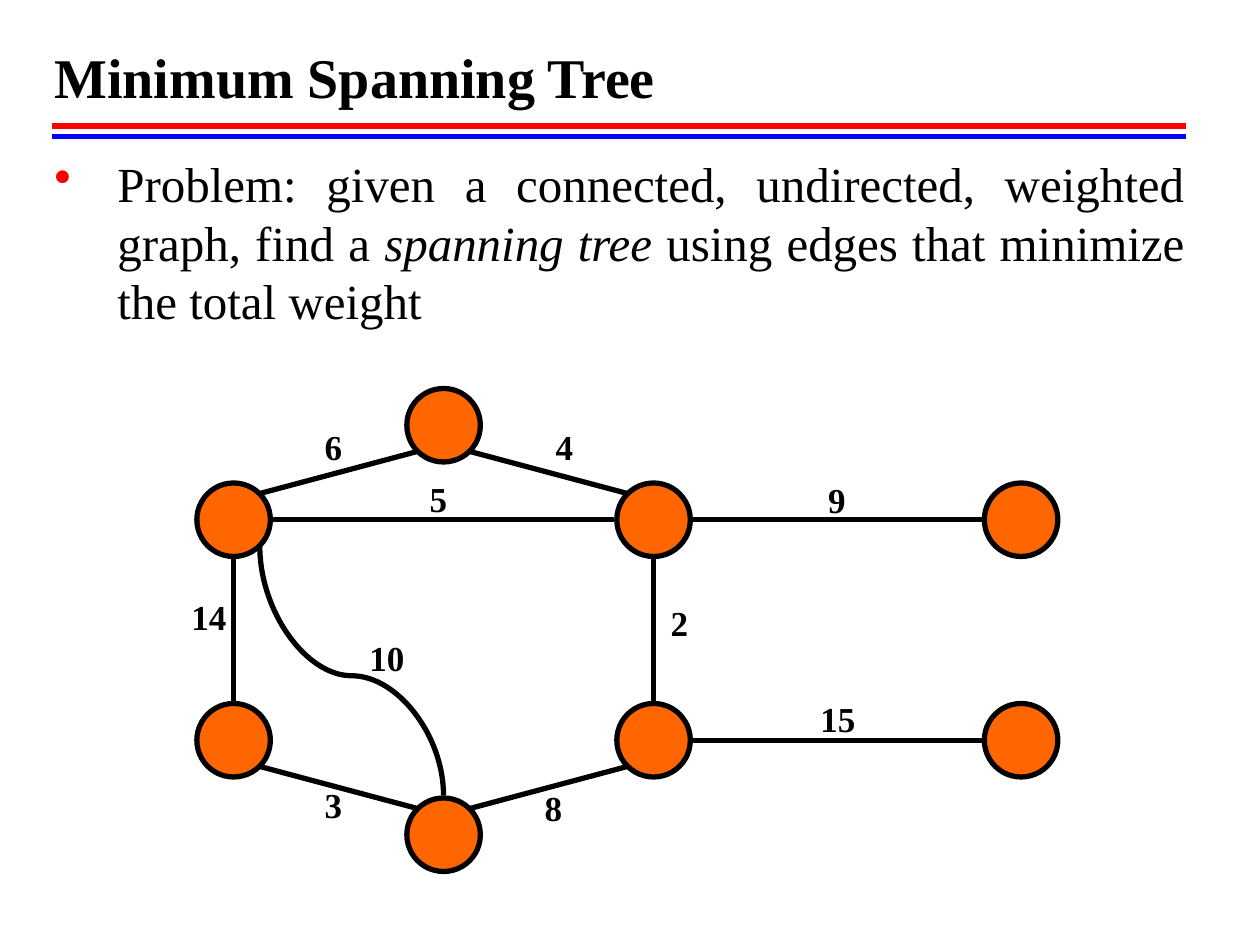
from lxml import etree
from pptx import Presentation
from pptx.dml.color import RGBColor
from pptx.enum.shapes import MSO_CONNECTOR, MSO_SHAPE
from pptx.enum.text import MSO_ANCHOR, PP_ALIGN
from pptx.oxml.ns import qn
from pptx.util import Inches, Pt

STRAIGHT, CURVE = MSO_CONNECTOR.STRAIGHT, MSO_CONNECTOR.CURVE
OVAL = MSO_SHAPE.OVAL
TOP, BOTTOM = MSO_ANCHOR.TOP, MSO_ANCHOR.BOTTOM
LEFT, CENTER, JUSTIFY = PP_ALIGN.LEFT, PP_ALIGN.CENTER, PP_ALIGN.JUSTIFY
BLACK = RGBColor(0x00, 0x00, 0x00)
RED = RGBColor(0xFF, 0x00, 0x00)
BLUE = RGBColor(0x00, 0x00, 0xFF)
ORANGE = RGBColor(0xFF, 0x66, 0x00)

COLUMNS, ROWS = 120, 90
NODE_SIZE = 7
REACH = 3.75
DIAGONAL = 2.5

NODES = {
    "upper left": (22.25, 49.5),
    "upper middle": (62.25, 49.5),
    "upper right": (97.25, 49.5),
    "lower left": (22.25, 70.5),
    "lower middle": (62.25, 70.5),
    "lower right": (97.25, 70.5),
    "bottom": (42.25, 79.5),
    "top": (42.25, 40.5),
}
EDGES = [
    ("top", "upper middle", "4", (53.75, 42.5)),
    ("top", "upper left", "6", (31.75, 42.5)),
    ("upper left", "upper middle", "5", (41.75, 47.5)),
    ("lower left", "upper left", "14", (19.9, 58.75)),
    ("lower left", "bottom", "3", (31.75, 76.6)),
    ("bottom", "lower middle", "8", (52.7, 76.9)),
    ("lower middle", "upper middle", "2", (64.7, 59.3)),
    ("upper middle", "upper right", "9", (79.7, 47.6)),
    ("lower middle", "lower right", "15", (79.8, 68.4)),
]


def sign(value):
    return (value > 0) - (value < 0)


def rim(node, toward):
    (x, y), (other_x, other_y) = NODES[node], NODES[toward]
    across, down = sign(other_x - x), sign(other_y - y)
    distance = DIAGONAL if across and down else REACH
    return x + across * distance, y + down * distance


def write(paragraph, text, size=20, bold=False, italic=False, color=BLACK):
    run = paragraph.add_run()
    run.text = text
    font = run.font
    font.name, font.size = "Times New Roman", Pt(size)
    font.bold, font.italic = bold, italic
    font.color.rgb = color


class Canvas:
    def __init__(self, presentation, line_width=3):
        self.slide = presentation.slides.add_slide(presentation.slide_layouts[6])
        self.column = presentation.slide_width / COLUMNS
        self.row = presentation.slide_height / ROWS
        self.line_width = Pt(line_width)

    def place(self, x, y):
        return round(x * self.column), round(y * self.row)

    def line(self, start, end, color=BLACK, kind=STRAIGHT):
        connector = self.slide.shapes.add_connector(
            kind, *self.place(*start), *self.place(*end))
        connector.line.color.rgb = color
        connector.line.width = self.line_width
        etree.SubElement(connector._element.spPr, qn("a:effectLst"))
        return connector

    def vertical_curve(self, start, end, bend):
        (x1, y1), (x2, y2) = start, end
        middle_x, middle_y = (x1 + x2) / 2, (y1 + y2) / 2
        half_width, half_height = (y1 - y2) / 2, (x1 - x2) / 2
        connector = self.line(
            (middle_x + half_width, middle_y - half_height),
            (middle_x - half_width, middle_y + half_height), kind=CURVE)
        properties = connector._element.spPr
        properties.find(qn("a:xfrm")).set("rot", str(90 * 60000))
        adjustments = properties.find(qn("a:prstGeom")).find(qn("a:avLst"))
        etree.SubElement(adjustments, qn("a:gd"), name="adj1",
                         fmla=f"val {round(bend * 100000)}")

    def node(self, center):
        x, y = center
        corner = self.place(x - NODE_SIZE / 2, y - NODE_SIZE / 2)
        shape = self.slide.shapes.add_shape(
            OVAL, *corner, *self.place(NODE_SIZE, NODE_SIZE))
        shape.shadow.inherit = False
        shape.fill.solid()
        shape.fill.fore_color.rgb = ORANGE
        shape.line.color.rgb = BLACK
        shape.line.width = self.line_width

    def text_box(self, x, y, width, height, align=LEFT, anchor=TOP, wrap=True):
        shape = self.slide.shapes.add_textbox(
            *self.place(x, y), *self.place(width, height))
        frame = shape.text_frame
        frame.word_wrap, frame.vertical_anchor = wrap, anchor
        paragraph = frame.paragraphs[0]
        paragraph.alignment = align
        return paragraph

    def weight(self, text, center):
        x, y = center
        width, height = 2.4 + 1.7 * len(text), 5.2
        paragraph = self.text_box(x - width / 2, y - height / 2, width, height,
                                  align=CENTER, wrap=False)
        write(paragraph, text, bold=True)

    def bullet(self, paragraph, indent, color):
        properties = paragraph._p.get_or_add_pPr()
        offset = round(indent * self.column)
        properties.set("marL", str(offset))
        properties.set("indent", str(-offset))
        bullet_color = etree.SubElement(properties, qn("a:buClr"))
        etree.SubElement(bullet_color, qn("a:srgbClr"), val=str(color))
        etree.SubElement(properties, qn("a:buChar"), char="•")


def main():
    presentation = Presentation()
    presentation.slide_width, presentation.slide_height = Inches(10), Inches(7.5)
    canvas = Canvas(presentation)

    for row, color in ((13, BLUE), (12, RED)):
        canvas.line((5, row), (113, row), color)
    title = canvas.text_box(4, 2, 108, 9, anchor=BOTTOM)
    write(title, "Minimum Spanning Tree", size=32, bold=True)

    problem = canvas.text_box(4, 14, 110, 18.1, align=JUSTIFY)
    canvas.bullet(problem, 6, RED)
    write(problem, "Problem: given a connected, undirected, weighted graph, find a ", size=28)
    write(problem, "spanning tree", size=28, italic=True)
    write(problem, " using edges that minimize the total weight", size=28)

    for center in NODES.values():
        canvas.node(center)
    for start, end, text, center in EDGES:
        canvas.line(rim(start, end), rim(end, start))
        canvas.weight(text, center)

    bottom_x, bottom_y = NODES["bottom"]
    canvas.vertical_curve((bottom_x, bottom_y - REACH),
                          rim("upper left", "bottom"), bend=0.48)
    canvas.weight("10", (36.85, 62.6))

    presentation.save("out.pptx")


if __name__ == "__main__":
    main()
